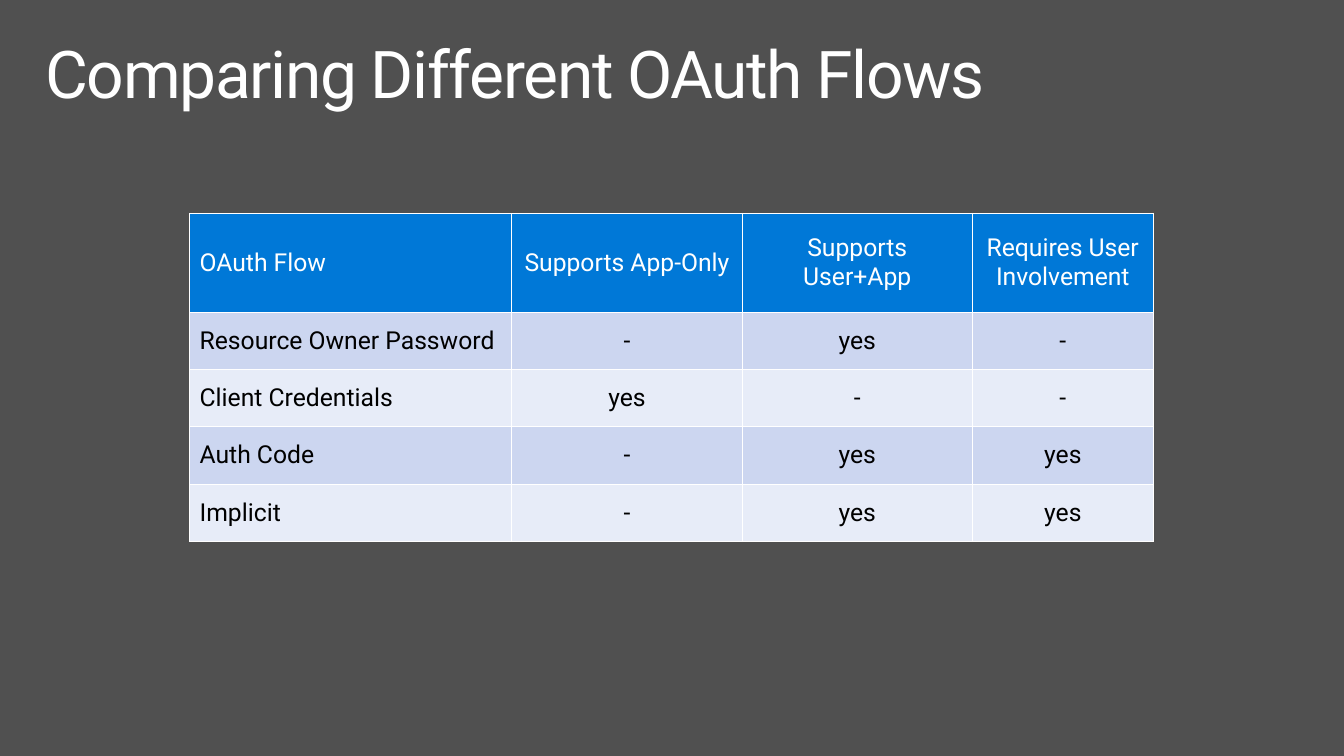
from lxml import etree
from pptx import Presentation
from pptx.dml.color import RGBColor
from pptx.enum.text import MSO_ANCHOR, MSO_AUTO_SIZE, PP_ALIGN
from pptx.oxml.ns import qn
from pptx.util import Pt

LEFT, CENTER = PP_ALIGN.LEFT, PP_ALIGN.CENTER
TOP, MIDDLE = MSO_ANCHOR.TOP, MSO_ANCHOR.MIDDLE
NO_AUTOFIT = MSO_AUTO_SIZE.NONE
TITLE_ONLY = 5

FONT = "Roboto"
COLORS = {
    "background": "505050",
    "white": "FFFFFF",
    "black": "000000",
    "header": "0078D7",
    "odd row": "CCD6F0",
    "even row": "E7ECF8",
}
COLUMN_WIDTHS = [234.72, 167.76, 167.76, 131.76]
HEADER_HEIGHT, ROW_HEIGHT = 72, 41.76
FLOWS = [
    ["OAuth Flow", "Supports App-Only", "Supports User+App", "Requires User Involvement"],
    ["Resource Owner Password", "-", "yes", "-"],
    ["Client Credentials", "yes", "-", "-"],
    ["Auth Code", "-", "yes", "yes"],
    ["Implicit", "-", "yes", "yes"],
]


def color(name):
    return RGBColor.from_string(COLORS[name])


def apply_format(target, **values):
    for name, value in values.items():
        setattr(target, name, value)


def fill_solid(fill, name):
    fill.solid()
    fill.fore_color.rgb = color(name)


def write_text(frame, text, size, color_name, align=LEFT):
    """Write one formatted paragraph and return its run."""
    para = frame.paragraphs[0]
    para.alignment = align
    span = para.add_run()
    span.text = text
    apply_format(span.font, name=FONT, size=Pt(size), bold=False)
    span.font.color.rgb = color(color_name)
    return span


def add_title(page, text):
    box = page.shapes.title
    apply_format(box, left=Pt(21.6), top=Pt(23), width=Pt(936), height=Pt(72))
    frame = box.text_frame
    apply_format(frame, word_wrap=True, auto_size=NO_AUTOFIT, vertical_anchor=TOP,
                 margin_left=Pt(11.5), margin_right=Pt(11.5),
                 margin_top=Pt(7.2), margin_bottom=Pt(7.2))
    span = write_text(frame, text, 48, "white")
    span.font._element.set("spc", "-100")
    apply_format(frame.paragraphs[0], line_spacing=0.9, space_before=Pt(0))


def add_borders(cell):
    """Draw a thin white line on all four sides of a cell."""
    properties = cell._tc.get_or_add_tcPr()
    for position, side in enumerate(("lnL", "lnR", "lnT", "lnB")):
        line = etree.Element(qn(f"a:{side}"), w=str(Pt(1)))
        paint = etree.SubElement(line, qn("a:solidFill"))
        etree.SubElement(paint, qn("a:srgbClr"), val=COLORS["white"])
        properties.insert(position, line)


def fill_cell(cell, text, fill_name, text_color, align):
    cell.vertical_anchor = MIDDLE
    fill_solid(cell.fill, fill_name)
    write_text(cell.text_frame, text, 18, text_color, align)
    add_borders(cell)


def add_flow_table(page, left, top):
    heights = [HEADER_HEIGHT] + [ROW_HEIGHT] * (len(FLOWS) - 1)
    table = page.shapes.add_table(
        len(FLOWS), len(COLUMN_WIDTHS), Pt(left), Pt(top),
        Pt(sum(COLUMN_WIDTHS)), Pt(sum(heights))).table
    for column, width in zip(table.columns, COLUMN_WIDTHS):
        column.width = Pt(width)
    for row, height in zip(table.rows, heights):
        row.height = Pt(height)
    for r, texts in enumerate(FLOWS):
        fill_name = "header" if r == 0 else "odd row" if r % 2 else "even row"
        text_color = "white" if r == 0 else "black"
        for c, text in enumerate(texts):
            align = CENTER if c else LEFT
            fill_cell(table.cell(r, c), text, fill_name, text_color, align)


def main():
    deck = Presentation()
    apply_format(deck, slide_width=Pt(979.2), slide_height=Pt(550.8))
    page = deck.slides.add_slide(deck.slide_layouts[TITLE_ONLY])
    fill_solid(page.background.fill, "background")
    add_title(page, "Comparing Different OAuth Flows")
    add_flow_table(page, left=138.24, top=155.5)
    deck.save("out.pptx")


if __name__ == "__main__":
    main()
